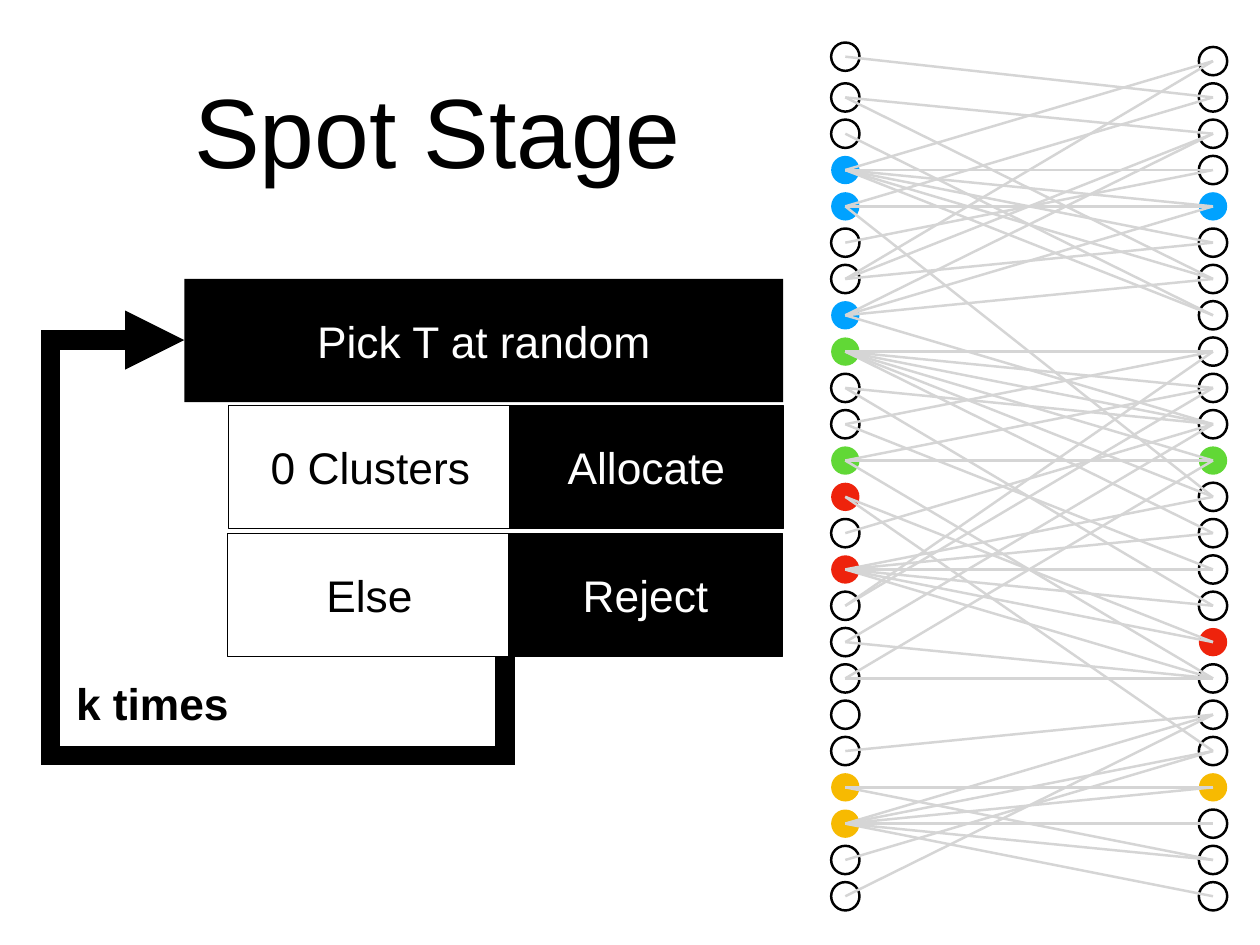
from dataclasses import dataclass
from lxml.etree import SubElement
from pptx import Presentation
from pptx.dml.color import RGBColor as Rgb
from pptx.enum.shapes import MSO_CONNECTOR as Conn, MSO_SHAPE as Kind
from pptx.enum.text import MSO_ANCHOR as Anchor, PP_ALIGN as Align
from pptx.oxml.ns import qn
from pptx.util import Inches, Pt


@dataclass(frozen=True)
class Theme:
    font: str = "Arial"
    black: str = "000000"
    white: str = "FFFFFF"
    link: str = "D5D5D5"
    blue: str = "00A2FF"
    green: str = "61D836"
    red: str = "EE230C"
    gold: str = "F7BA01"
    title: int = 80
    body: int = 36
    thin: int = 1
    rim: int = 2
    loop: int = 16


LOOK = Theme()
SIZE = (14.22, 10.67)
TITLE = ("Spot Stage", (1.04, 0.28, 7.8, 2.36))
START = ("Pick T at random", (2.08, 3.15, 6.76, 1.39))
CASES = [
    ("0 Clusters", "Allocate", 2.58, 4.58),
    ("Else", "Reject", 2.57, 6.02),
]
CASE_W, ACT_W, CASE_H, ACT_DX = 3.2, 3.09, 1.39, 3.17
LOOP = [(5.7, 7.41), (5.7, 8.53), (0.57, 8.53), (0.57, 3.84), (2.08, 3.84)]
NOTE = ("k times", (0.79, 7.58, 1.86, 0.71))

ROWS, TOP, STEP, DOT = 24, 0.69, 0.41, 0.32
LEFT_X, RIGHT_X, FIRST_Y = 9.54, 13.69, 0.64
LEFT_HUES = {
    3: LOOK.blue, 4: LOOK.blue, 7: LOOK.blue,
    8: LOOK.green, 11: LOOK.green,
    12: LOOK.red, 14: LOOK.red,
    20: LOOK.gold, 21: LOOK.gold,
}
RIGHT_HUES = {4: LOOK.blue, 11: LOOK.green, 16: LOOK.red, 20: LOOK.gold}
LINKS = {
    0: [1], 1: [2, 6], 2: [7], 3: [0, 3, 4, 5, 6, 7],
    4: [1, 4, 12], 5: [3], 6: [0, 2, 5], 7: [2, 4, 6, 10],
    8: [8, 9, 10, 11, 12, 13], 9: [10, 15], 10: [8, 14], 11: [9, 11, 17],
    12: [16, 19], 13: [10], 14: [12, 13, 14, 15, 16, 17], 15: [8, 9],
    16: [10, 17], 17: [11, 17], 19: [18], 20: [20, 22],
    21: [18, 19, 20, 21, 22, 23], 22: [19], 23: [18],
}


def place(shape, box):
    shape.left, shape.top, shape.width, shape.height = map(Inches, box)


def write(shape, text, size, hue, bold=False, wrap=True):
    frame = shape.text_frame
    frame.word_wrap = wrap
    frame.vertical_anchor = Anchor.MIDDLE
    frame.margin_left = frame.margin_right = Inches(0.06)
    frame.margin_top = frame.margin_bottom = Inches(0.06)
    para = frame.paragraphs[0]
    para.alignment = Align.CENTER
    run = para.add_run()
    run.text = text
    font = run.font
    font.name, font.size, font.bold = LOOK.font, Pt(size), bold
    font.color.rgb = Rgb.from_string(hue)


def paint(shape, fill=None, line=None, width=LOOK.thin):
    shape.shadow.inherit = False
    if fill:
        shape.fill.solid()
        shape.fill.fore_color.rgb = Rgb.from_string(fill)
    else:
        shape.fill.background()
    if line:
        shape.line.color.rgb = Rgb.from_string(line)
        shape.line.width = Pt(width)
    else:
        shape.line.fill.background()


def add_box(shapes, text, box, fill, hue, line=None):
    shape = shapes.add_shape(Kind.RECTANGLE, *map(Inches, box))
    paint(shape, fill, line)
    write(shape, text, LOOK.body, hue)


def add_loop(shapes):
    pts = [(Inches(x), Inches(y)) for x, y in LOOP]
    pen = shapes.build_freeform(*pts[0])
    pen.add_line_segments(pts[1:], close=False)
    shape = pen.convert_to_shape()
    paint(shape, line=LOOK.black, width=LOOK.loop)
    edge = shape.line._get_or_add_ln()
    SubElement(edge, qn("a:miter"), lim="400000")
    SubElement(edge, qn("a:tailEnd"), type="triangle")


def add_dot(shapes, x, y, hue):
    box = (x - DOT / 2, y - DOT / 2, DOT, DOT)
    dot = shapes.add_shape(Kind.OVAL, *map(Inches, box))
    paint(dot, hue, None if hue else LOOK.black, LOOK.rim)


def add_link(shapes, start, end):
    link = shapes.add_connector(Conn.STRAIGHT, *map(Inches, start + end))
    link.line.color.rgb = Rgb.from_string(LOOK.link)
    link.line.width = Pt(LOOK.rim)
    SubElement(link._element.spPr, qn("a:effectLst"))


def add_graph(shapes):
    right = [(RIGHT_X, TOP + STEP * i) for i in range(ROWS)]
    left = [(LEFT_X, y) for _, y in right]
    left[0] = (LEFT_X, FIRST_Y)
    for side, hues in ((left, LEFT_HUES), (right, RIGHT_HUES)):
        for i, (x, y) in enumerate(side):
            add_dot(shapes, x, y, hues.get(i))
    for i, ends in LINKS.items():
        for j in ends:
            add_link(shapes, left[i], right[j])


def main():
    """Build the Spot Stage slide with its loop and cluster graph."""
    deck = Presentation()
    deck.slide_width, deck.slide_height = map(Inches, SIZE)
    shapes = deck.slides.add_slide(deck.slide_layouts[5]).shapes
    text, box = TITLE
    place(shapes.title, box)
    write(shapes.title, text, LOOK.title, LOOK.black)
    add_box(shapes, *START, LOOK.black, LOOK.white)
    for case, act, x, y in CASES:
        add_box(shapes, case, (x, y, CASE_W, CASE_H),
                LOOK.white, LOOK.black, LOOK.black)
        add_box(shapes, act, (x + ACT_DX, y, ACT_W, CASE_H),
                LOOK.black, LOOK.white, LOOK.black)
    add_loop(shapes)
    text, box = NOTE
    note = shapes.add_textbox(*map(Inches, box))
    write(note, text, LOOK.body, LOOK.black, bold=True, wrap=False)
    add_graph(shapes)
    deck.save("out.pptx")


if __name__ == "__main__":
    main()
